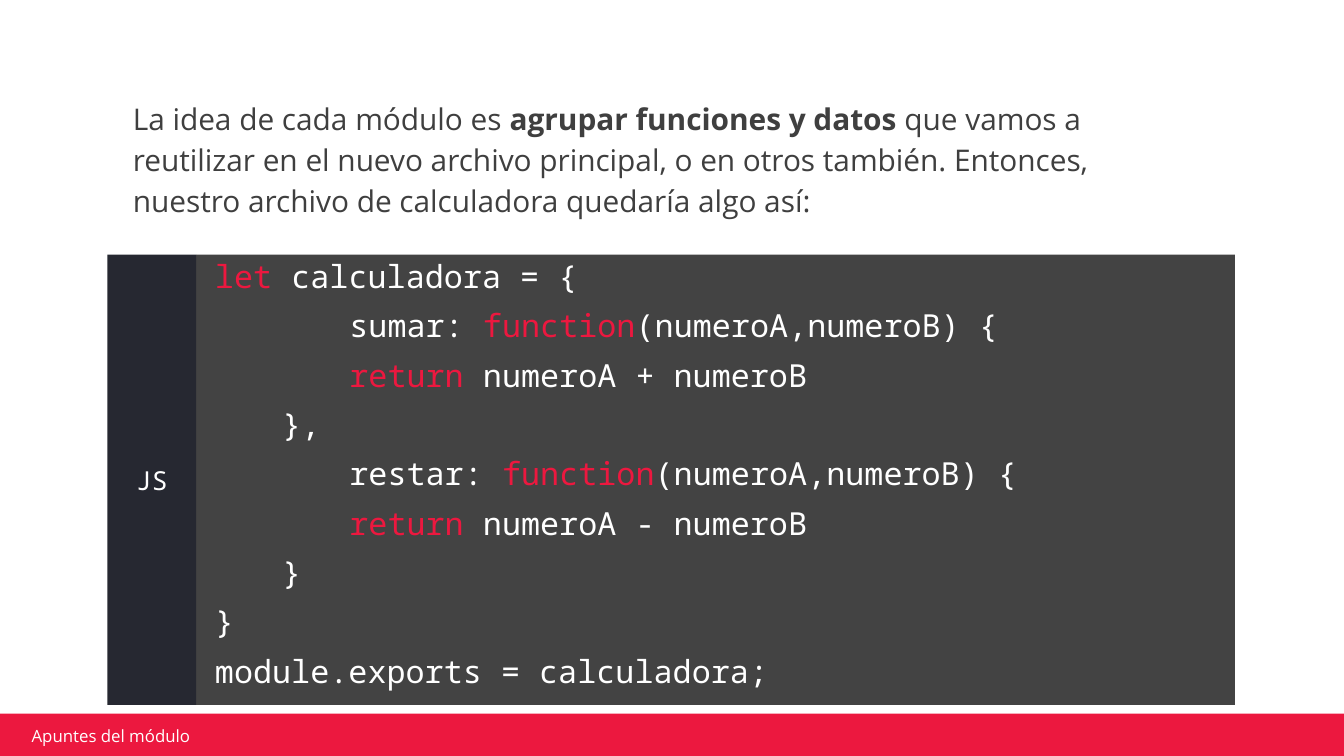
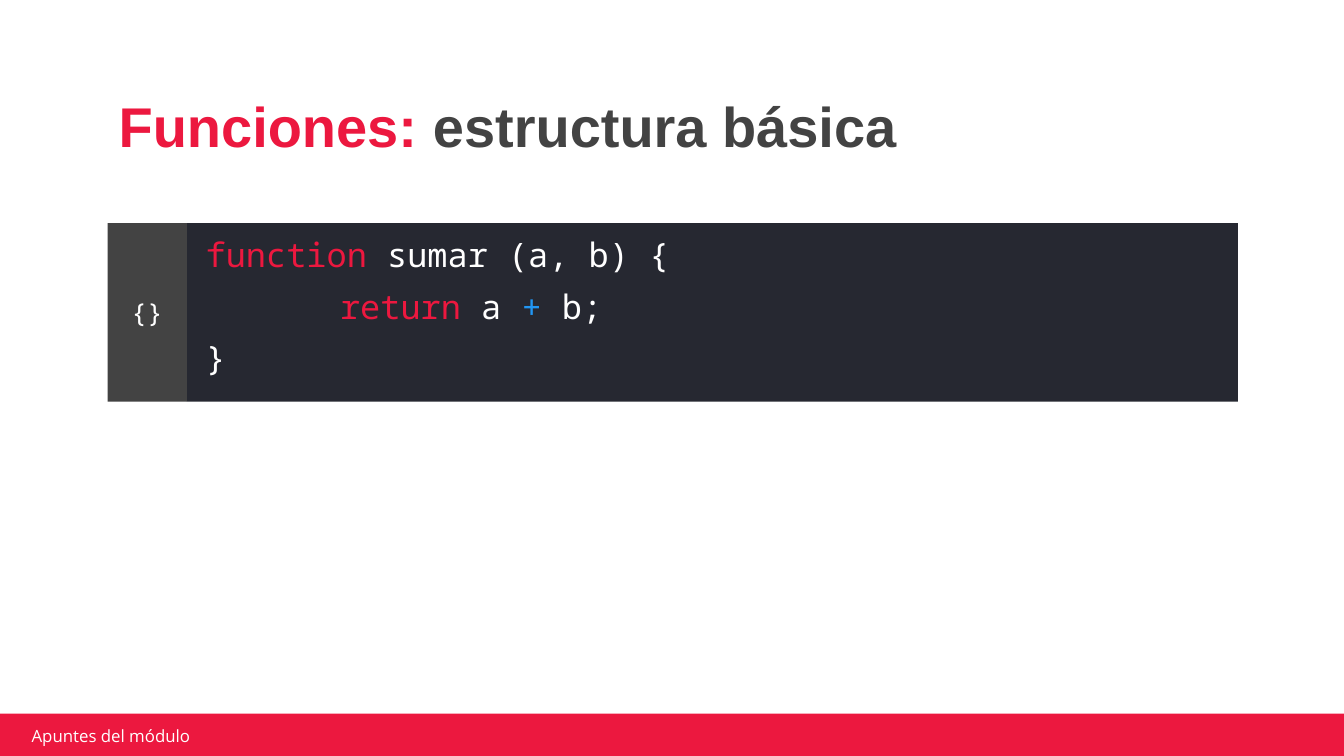
"""Builds two slides on JavaScript modules and functions, with code panels."""
from lxml.etree import SubElement
from pptx import Presentation
from pptx.dml.color import RGBColor
from pptx.enum.shapes import MSO_SHAPE
from pptx.enum.text import MSO_ANCHOR, PP_ALIGN
from pptx.oxml.ns import qn
from pptx.util import Pt

PX = 4572
RED = RGBColor(0xEC, 0x18, 0x3F)
GRAY = RGBColor(0x43, 0x43, 0x43)
TEXT_GRAY = RGBColor(0x3F, 0x3F, 0x3F)
NAVY = RGBColor(0x26, 0x28, 0x31)
BLUE = RGBColor(0x21, 0x96, 0xF3)
WHITE = RGBColor(0xFF, 0xFF, 0xFF)
SANS, MONO, HEADING = "Open Sans", "Noto Sans Mono", "Arial"
TOP, MIDDLE, BOTTOM = MSO_ANCHOR.TOP, MSO_ANCHOR.MIDDLE, MSO_ANCHOR.BOTTOM


def write(shape, lines, font, size, anchor=MIDDLE, insets=(20, 20, 20, 20)):
    frame = shape.text_frame
    frame.word_wrap = True
    frame.vertical_anchor = anchor
    frame.margin_left, frame.margin_top, frame.margin_right, frame.margin_bottom = [
        inset * PX for inset in insets]
    for number, pieces in enumerate(lines):
        paragraph = frame.add_paragraph() if number else frame.paragraphs[0]
        paragraph.alignment = PP_ALIGN.LEFT
        for text, color, bold in pieces:
            run = paragraph.add_run()
            run.text = text
            run.font.name = font
            run.font.size = Pt(size)
            run.font.bold = bold
            run.font.color.rgb = color
    return frame.paragraphs


def add_block(shapes, left, top, width, height, color):
    block = shapes.add_shape(MSO_SHAPE.RECTANGLE, left * PX, top * PX, width * PX, height * PX)
    block.shadow.inherit = False
    block.fill.solid()
    block.fill.fore_color.rgb = color
    block.line.fill.background()
    return block


modulo_code = [
    [("let ", RED), ("calculadora = {", WHITE)],
    [("\tsumar: ", WHITE), ("function", RED), ("(numeroA,numeroB) {", WHITE)],
    [("\t", WHITE), ("return", RED), (" numeroA + numeroB", WHITE)],
    [("},", WHITE)],
    [("\trestar: ", WHITE), ("function", RED), ("(numeroA,numeroB) {", WHITE)],
    [("\t", WHITE), ("return", RED), (" numeroA - numeroB", WHITE)],
    [("}", WHITE)],
    [("}", WHITE)],
    [("module.exports = calculadora;", WHITE)],
]
funcion_code = [
    [("function ", RED), ("sumar (a, b) {", WHITE)],
    [("\t", GRAY), ("return ", RED), ("a ", WHITE), ("+ ", BLUE), ("b;", WHITE)],
    [("}", WHITE)],
]
intro = [[
    ("La idea de cada módulo es", TEXT_GRAY, False),
    (" agrupar funciones y datos ", TEXT_GRAY, True),
    ("que vamos a reutilizar en el nuevo archivo principal, o en otros también. "
     "Entonces, nuestro archivo de calculadora quedaría algo así:", TEXT_GRAY, False),
]]
title = [[("Funciones: ", RED, True), ("estructura básica", GRAY, True)]]

pages = [
    dict(heading=intro, box=(178, 122, 1596, 176), font=SANS, size=16, anchor=TOP,
         leading=1.15, gap=12, code=modulo_code, code_size=17, indented=(3, 6),
         label="JS", label_width=132, code_width=1546, top=379, height=670,
         code_fill=GRAY, label_fill=NAVY),
    dict(heading=title, box=(157, 120, 1686, 138), font=HEADING, size=30, anchor=BOTTOM,
         leading=0.9, gap=0, code=funcion_code, code_size=18, indented=(),
         label="{}", label_width=118, code_width=1564, top=332, height=266,
         code_fill=NAVY, label_fill=GRAY),
]
PANEL_LEFT = 160
TAB_STOP = 200
INDENT = 100

deck = Presentation()
deck.slide_width = 2000 * PX
deck.slide_height = 1125 * PX

for page in pages:
    slide = deck.slides.add_slide(deck.slide_layouts[6])

    heading = slide.shapes.add_textbox(*[length * PX for length in page["box"]])
    for paragraph in write(heading, page["heading"], page["font"], page["size"], page["anchor"]):
        paragraph.line_spacing = page["leading"]
        paragraph.space_before = paragraph.space_after = Pt(page["gap"])

    panel = slide.shapes.add_group_shape().shapes
    code = add_block(panel, PANEL_LEFT + page["label_width"], page["top"],
                     page["code_width"], page["height"], page["code_fill"])
    code_lines = [[(text, color, False) for text, color in line] for line in page["code"]]
    paragraphs = write(code, code_lines, MONO, page["code_size"], insets=(28, 0, 20, 20))
    for number, paragraph in enumerate(paragraphs):
        paragraph.space_before = Pt(6)
        properties = paragraph._p.get_or_add_pPr()
        if number in page["indented"]:
            properties.set("marL", str(INDENT * PX))
            properties.set("indent", "0")
        if paragraph.text.startswith("\t"):
            stops = SubElement(properties, qn("a:tabLst"))
            SubElement(stops, qn("a:tab"), pos=str(TAB_STOP * PX), algn="l")

    language = add_block(panel, PANEL_LEFT, page["top"], page["label_width"],
                         page["height"], page["label_fill"])
    write(language, [[(page["label"], WHITE, False)]], MONO, 14)[0].alignment = PP_ALIGN.CENTER

    add_block(slide.shapes, -4, 1062, 2006, 72, RED)
    footer = slide.shapes.add_textbox(37 * PX, 1080 * PX, 478 * PX, 30 * PX)
    write(footer, [[("Apuntes del módulo", WHITE, False)]], SANS, 9, insets=(10, 4, 10, 4))

deck.save("out.pptx")
